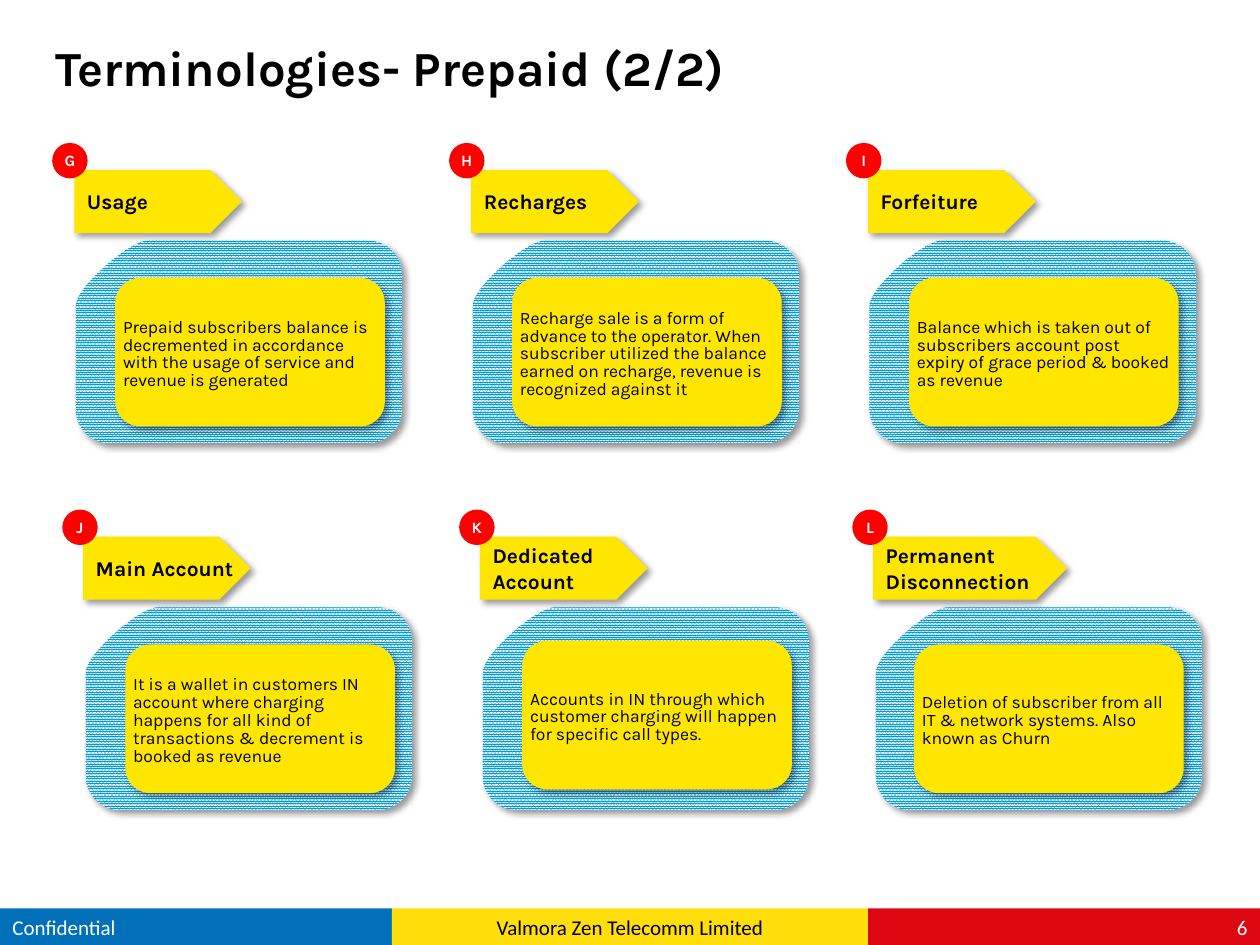
from lxml import etree
from pptx import Presentation
from pptx.dml.color import RGBColor
from pptx.enum import dml, shapes, text
from pptx.oxml import ns
from pptx.util import Inches, Pt

# Row, column, letter, term, meaning
CARDS = [
    (0, 0, "G", "Usage", "Prepaid subscribers balance is decremented in accordance "
     "with the usage of service and revenue is generated"),
    (0, 1, "H", "Recharges", "Recharge sale is a form of advance to the operator. When "
     "subscriber utilized the balance earned on recharge, revenue is recognized against it"),
    (0, 2, "I", "Forfeiture", "Balance which is taken out of subscribers account post "
     "expiry of grace period & booked as revenue"),
    (1, 1, "K", "Dedicated Account", "Accounts in IN through which customer charging "
     "will happen for specific call types."),
    (1, 2, "L", "Permanent Disconnection", "Deletion of subscriber from all IT & network "
     "systems. Also known as Churn"),
    (1, 0, "J", "Main Account", "It is a wallet in customers IN account where charging "
     "happens for all kind of transactions & decrement is booked as revenue"),
]
FOOTER = [
    ("Confidential", 3.11, "0071B9", "FFFFFF", text.PP_ALIGN.LEFT),
    ("Valmora Zen Telecomm Limited", 3.78, "FFDE0C", "000000", text.PP_ALIGN.CENTER),
    ("6", 3.11, "DC0711", "FFFFFF", text.PP_ALIGN.RIGHT),
]
# Left and top of the first panel, and how far its arrow sticks out to the left
ROWS = [(0.6, 1.91, 0.01), (0.68, 4.82, 0.02)]
COLUMN_PITCH = 3.15
SHIFT_X = {"L": -0.03}
ARROW_WIDTH = {"L": 1.54}
NOTE_OFFSET = {"K": (0.32, 0.27), "L": (0.31, 0.3)}
YELLOW, RED = "FFE600", "FF0000"

# Panel outline: start of each corner curve, its two controls and its end
PANEL_CORNERS = [
    ((0, 0.52), (0, 0.37), (0.43, 0), (0.57, 0)),
    ((2.32, 0), (2.47, 0), (2.59, 0.12), (2.59, 0.27)),
    ((2.59, 1.34), (2.59, 1.48), (2.47, 1.61), (2.32, 1.61)),
    ((0.27, 1.61), (0.12, 1.61), (0, 1.48), (0, 1.34)),
]


def color(value):
    return RGBColor.from_string(value)


def write(shape, words, size, ink="000000", font="Karla", bold=False,
          align=text.PP_ALIGN.LEFT, insets=None, wrap=True, indent=None,
          spacing=None, after=None):
    """Put one formatted paragraph in a shape."""
    frame = shape.text_frame
    frame.word_wrap = wrap
    frame.vertical_anchor = text.MSO_ANCHOR.MIDDLE
    if insets:
        (frame.margin_left, frame.margin_top,
         frame.margin_right, frame.margin_bottom) = map(Inches, insets)
    para = frame.paragraphs[0]
    para.alignment = align
    if indent:
        properties = para._p.get_or_add_pPr()
        properties.set("marL", str(Inches(indent)))
        properties.set("indent", "0")
    if spacing:
        para.line_spacing = spacing
    if after:
        para.space_after = Pt(after)
    span = para.add_run()
    span.text = words
    span.font.name, span.font.size, span.font.bold = font, Pt(size), bold
    span.font.color.rgb = color(ink)


def cast_shadow(shape):
    shape.shadow.inherit = False
    effects = shape._element.spPr.find(ns.qn("a:effectLst"))
    shadow = etree.SubElement(effects, ns.qn("a:outerShdw"), blurRad=str(Pt(4)),
                              dist=str(Pt(3)), dir=str(45 * 60000),
                              algn="tl", rotWithShape="0")
    tint = etree.SubElement(shadow, ns.qn("a:srgbClr"), val="000000")
    etree.SubElement(tint, ns.qn("a:alpha"), val="40000")


def add_block(parent, kind, place, fill, line_width=0, shadow=False):
    shape = parent.shapes.add_shape(kind, *map(Inches, place))
    shape.fill.solid()
    shape.fill.fore_color.rgb = color(fill)
    if line_width:
        shape.line.color.rgb = color(fill)
        shape.line.width = Pt(line_width)
    else:
        shape.line.fill.background()
    shape.shadow.inherit = False
    if shadow:
        cast_shadow(shape)
    return shape


def round_corners(panel):
    """Turn the three segments of each corner into one cubic curve."""
    segments = panel._element.findall(".//" + ns.qn("a:lnTo"))
    for first in range(0, len(PANEL_CORNERS) * 4, 4):
        corner = segments[first:first + 3]
        bend = etree.Element(ns.qn("a:cubicBezTo"))
        corner[0].addprevious(bend)
        for segment in corner:
            bend.append(segment[0])
            segment.getparent().remove(segment)


def add_panel(parent, left, top):
    points = [(Inches(left + x), Inches(top + y))
              for corner in PANEL_CORNERS for x, y in corner]
    builder = parent.shapes.build_freeform(*points[0])
    builder.add_line_segments(points[1:], close=True)
    panel = builder.convert_to_shape()
    round_corners(panel)
    panel.fill.patterned()
    panel.fill.pattern = dml.MSO_PATTERN.PERCENT_90
    panel.fill.fore_color.rgb = color("009DD9")
    panel.fill.back_color.rgb = color("FFFFFF")
    panel.line.fill.background()
    cast_shadow(panel)


def add_card(page, row, column, letter, term, meaning):
    kinds = shapes.MSO_SHAPE
    start, top, overhang = ROWS[row]
    left = start + column * COLUMN_PITCH + SHIFT_X.get(letter, 0)

    group = page.shapes.add_group_shape()
    add_panel(group, left, top)
    note_x, note_y = NOTE_OFFSET.get(letter, (0.32, 0.3))
    note = add_block(group, kinds.ROUNDED_RECTANGLE,
                     (left + note_x, top + note_y, 2.13, 1.17), YELLOW, 0.75, shadow=True)
    write(note, meaning, 10, insets=(0, 0.04, 0, 0), spacing=0.85, after=6)

    arrow = add_block(page, kinds.PENTAGON,
                      (left - overhang, top - 0.56, ARROW_WIDTH.get(letter, 1.33), 0.5),
                      YELLOW, shadow=True)
    write(arrow, term, 12, bold=True, insets=(0, 0, 0, 0), indent=0.1)
    badge = add_block(page, kinds.OVAL, (left - 0.17, top - 0.76, 0.25, 0.25), RED, 2.25)
    write(badge, letter, 9, "FFFFFF", bold=True, align=text.PP_ALIGN.CENTER,
          insets=(0, 0, 0, 0), wrap=False)


def main():
    deck = Presentation()
    deck.slide_width, deck.slide_height = Inches(10), Inches(7.5)
    page = deck.slides.add_slide(deck.slide_layouts[5])
    title = page.shapes.title
    title.left, title.top, title.width, title.height = map(Inches, (0.34, 0.31, 7.61, 0.45))
    write(title, "Terminologies- Prepaid (2/2)", 28, bold=True)

    left = 0
    for words, width, fill, ink, align in FOOTER:
        band = add_block(page, shapes.MSO_SHAPE.RECTANGLE, (left, 7.21, width, 0.29), fill)
        write(band, words, 12, ink, font="Calibri", align=align)
        left += width

    for card in CARDS:
        add_card(page, *card)
    deck.save("out.pptx")


if __name__ == "__main__":
    main()
